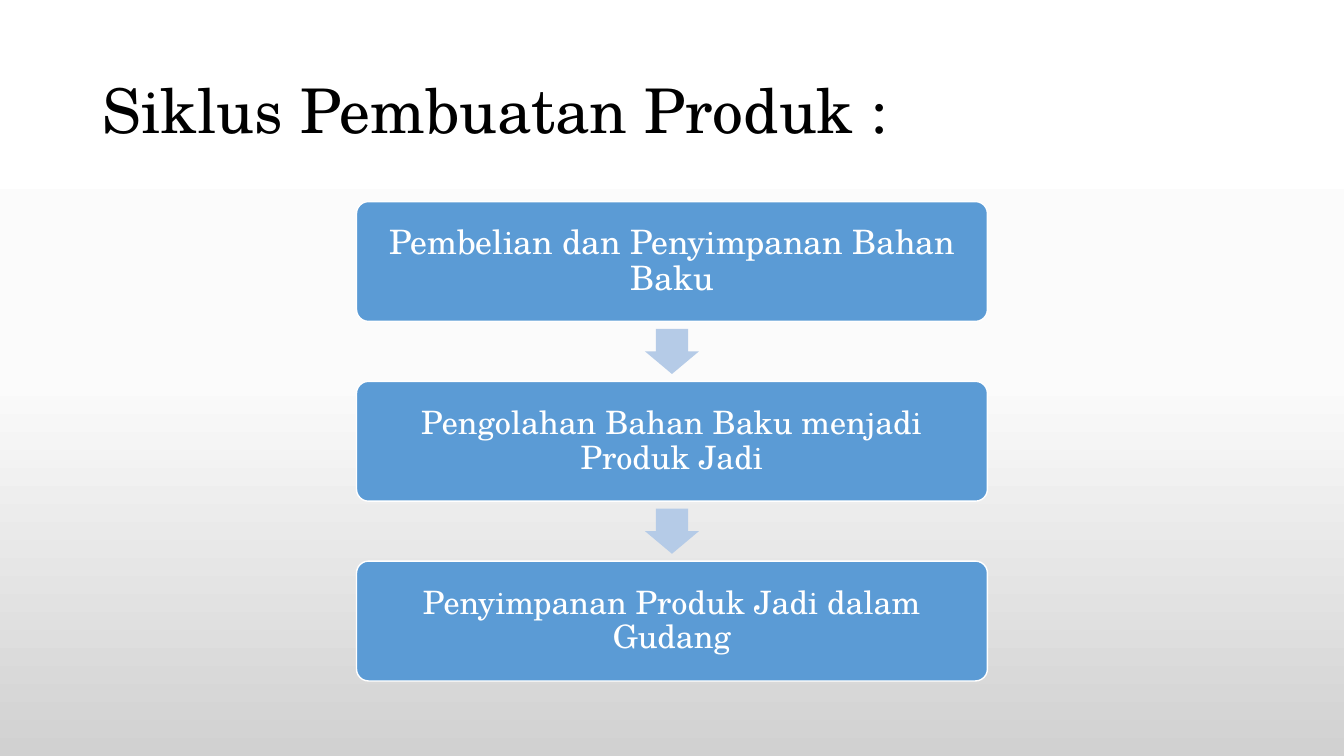
from copy import deepcopy

from pptx import Presentation
from pptx.dml.color import RGBColor
from pptx.enum import shapes, text
from pptx.oxml.ns import qn
from pptx.util import Cm, Pt

TITLE = "Siklus Pembuatan Produk :"
STEPS = [
    ("Pembelian dan Penyimpanan Bahan Baku", 24),
    ("Pengolahan Bahan Baku menjadi Produk Jadi", 23),
    ("Penyimpanan Produk Jadi dalam Gudang", 23),
]
BACKGROUND = [(0, "FFFFFF"), (0.5, "FBFBFB"), (1, "D1D1D1")]
FONT = "TeX Gyre Schola"

# Lengths in cm
SLIDE_W, SLIDE_H = 33.87, 19.05
TITLE_BOX = (2.34, 1.02, 29.2, 3.68)
BOX_W, BOX_H, BOX_TOP, PITCH = 15.9, 3.02, 5.08, 4.53
ARROW_W, ARROW_H = 1.36, 1.14
INSET = 0.34


def color(value):
    return RGBColor.from_string(value)


def write(shape, words, size, ink, align, inset=None):
    tf = shape.text_frame
    tf.word_wrap = True
    tf.vertical_anchor = text.MSO_ANCHOR.MIDDLE
    if inset is not None:
        for side in ("left", "right", "top", "bottom"):
            setattr(tf, f"margin_{side}", Cm(inset))
    p = tf.paragraphs[0]
    p.alignment = align
    p.line_spacing = 0.9
    r = p.add_run()
    r.text = words
    for name, value in {"name": FONT, "size": Pt(size)}.items():
        setattr(r.font, name, value)
    r.font.color.rgb = color(ink)


def add_centred(s, kind, top, width, height, fill, adjustments):
    """Add a filled shape on the slide's vertical centre line."""
    sp = s.shapes.add_shape(kind, Cm((SLIDE_W - width) / 2), Cm(top), Cm(width), Cm(height))
    for i, value in enumerate(adjustments):
        sp.adjustments[i] = value
    sp.shadow.inherit = False
    sp.fill.solid()
    sp.fill.fore_color.rgb = color(fill)
    sp.line.fill.background()
    return sp


def paint_background(s):
    fill = s.background.fill
    fill.gradient()
    fill.gradient_angle = 270
    stops = next(s._element.iter(qn("a:gsLst")))
    stops.append(deepcopy(stops[0]))
    for stop, (position, value) in zip(fill.gradient_stops, BACKGROUND):
        stop.position = position
        stop.color.rgb = color(value)


def main():
    prs = Presentation()
    prs.slide_width, prs.slide_height = Cm(SLIDE_W), Cm(SLIDE_H)
    s = prs.slides.add_slide(prs.slide_layouts[6])
    paint_background(s)

    title = s.shapes.add_textbox(*map(Cm, TITLE_BOX))
    write(title, TITLE, 44, "000000", text.PP_ALIGN.LEFT)

    kinds = shapes.MSO_SHAPE
    for i, (words, size) in enumerate(STEPS):
        top = BOX_TOP + i * PITCH
        if i:
            arrow_top = top - (PITCH - BOX_H + ARROW_H) / 2
            add_centred(s, kinds.DOWN_ARROW, arrow_top, ARROW_W, ARROW_H, "B5CBE7", (0.6, 0.5))
        box = add_centred(s, kinds.ROUNDED_RECTANGLE, top, BOX_W, BOX_H, "5B9BD5", (0.1,))
        box.line.color.rgb = color("FFFFFF")
        box.line.width = Pt(1)
        write(box, words, size, "FFFFFF", text.PP_ALIGN.CENTER, INSET)

    prs.save("out.pptx")


if __name__ == "__main__":
    main()
